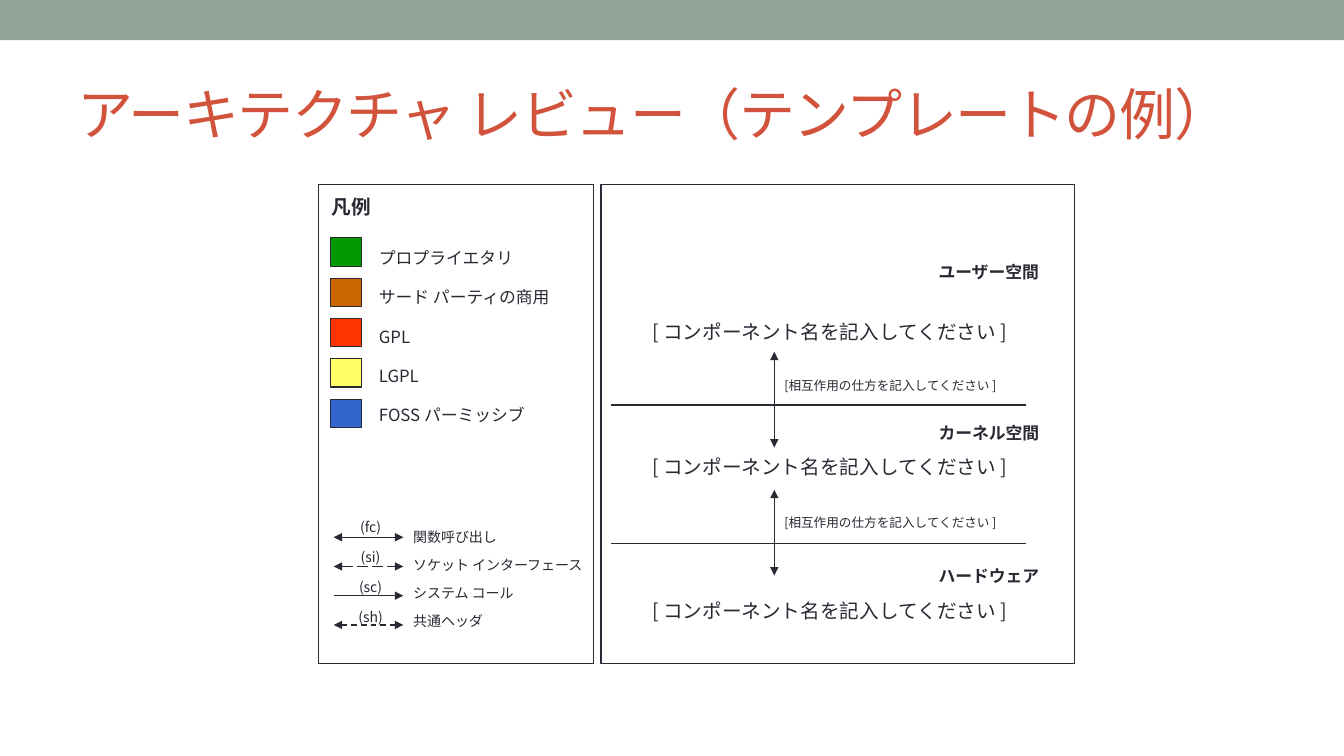
from typing import NamedTuple, Optional

from lxml.etree import SubElement
from pptx import Presentation
from pptx.dml.color import RGBColor
from pptx.enum.dml import MSO_LINE_DASH_STYLE as Dash
from pptx.enum.shapes import MSO_CONNECTOR as Connector, MSO_SHAPE as Shape
from pptx.enum.text import MSO_ANCHOR as Anchor, MSO_AUTO_SIZE as AutoSize, PP_ALIGN as Align
from pptx.oxml.ns import qn
from pptx.util import Inches, Pt

FONT = "Noto Sans CJK JP"
INK = "292934"
COMPONENT = "[ コンポーネント名を記入してください ]"
INTERACTION = "[相互作用の仕方を記入してください ]"


class License(NamedTuple):
    name: str
    color: str
    width: float


class Call(NamedTuple):
    tag: str
    name: str
    width: float
    dash: Optional[Dash] = None
    two_way: bool = True


class Layer(NamedTuple):
    name: str
    name_top: float
    component_top: float


class Boundary(NamedTuple):
    line_y: float
    arrow_top: float
    arrow_bottom: float
    label_top: float


LICENSES = [
    License("プロプライエタリ", "009900", 1.55),
    License("サード パーティの商用", "CC6600", 1.97),
    License("GPL", "FF3300", 0.52),
    License("LGPL", "FFFF66", 0.61),
    License("FOSS パーミッシブ", "3366CC", 1.71),
]
CALLS = [
    Call("(fc)", "関数呼び出し", 1.04),
    Call("(si)", "ソケット インターフェース", 1.96, Dash.LONG_DASH),
    Call("(sc)", "システム コール", 1.25, two_way=False),
    Call("(sh)", "共通ヘッダ", 0.9, Dash.DASH),
]
LAYERS = [
    Layer("ユーザー空間", 2.55, 3.12),
    Layer("カーネル空間", 4.14, 4.46),
    Layer("ハードウェア", 5.56, 5.89),
]
BOUNDARIES = [
    Boundary(4.02, 3.49, 4.44, 3.7),
    Boundary(5.39, 4.86, 5.71, 5.06),
]

presentation = Presentation()
presentation.slide_width = Inches(13.33)
presentation.slide_height = Inches(7.5)
slide = presentation.slides.add_slide(presentation.slide_layouts[6])


def rgb(color: str) -> RGBColor:
    return RGBColor.from_string(color)


def add_rectangle(left: float, top: float, width: float, height: float,
                  fill: Optional[str] = None, line_width: float = 0) -> None:
    shape = slide.shapes.add_shape(
        Shape.RECTANGLE, Inches(left), Inches(top), Inches(width), Inches(height))
    shape.shadow.inherit = False
    if fill:
        shape.fill.solid()
        shape.fill.fore_color.rgb = rgb(fill)
    else:
        shape.fill.background()
    if line_width:
        shape.line.color.rgb = rgb(INK)
        shape.line.width = Pt(line_width)
    else:
        shape.line.fill.background()


def add_text(text: str, left: float, top: float, width: float, height: float, size: float,
             bold: bool = False, color: str = INK, wrap: bool = False, grow: bool = True,
             anchor: Anchor = Anchor.TOP, align: Align = Align.LEFT, spacing: int = 0) -> None:
    box = slide.shapes.add_textbox(Inches(left), Inches(top), Inches(width), Inches(height))
    frame = box.text_frame
    frame.word_wrap = wrap
    frame.auto_size = AutoSize.SHAPE_TO_FIT_TEXT if grow else AutoSize.NONE
    frame.vertical_anchor = anchor
    paragraph = frame.paragraphs[0]
    paragraph.text = text
    paragraph.alignment = align
    font = paragraph.font
    font.size = Pt(size)
    font.bold = bold
    font.color.rgb = rgb(color)
    font.name = FONT
    properties = paragraph._p.get_or_add_pPr().find(qn("a:defRPr"))
    SubElement(properties, qn("a:ea")).set("typeface", FONT)
    if spacing:
        properties.set("spc", str(spacing))


def add_line(left: float, top: float, right: float, bottom: float, width: float = 1,
             head: bool = False, tail: bool = False, dash: Optional[Dash] = None) -> None:
    connector = slide.shapes.add_connector(
        Connector.STRAIGHT, Inches(left), Inches(top), Inches(right), Inches(bottom))
    connector.line.color.rgb = rgb(INK)
    connector.line.width = Pt(width)
    if dash:
        connector.line.dash_style = dash
    outline = connector.line._get_or_add_ln()
    for end, shown in (("a:headEnd", head), ("a:tailEnd", tail)):
        if shown:
            SubElement(outline, qn(end)).set("type", "triangle")
    SubElement(connector._element.spPr, qn("a:effectLst"))


def draw_legend() -> None:
    add_rectangle(3.16, 1.83, 2.73, 4.75, line_width=1)
    add_text("凡例", 3.19, 1.88, 0.59, 0.34, 14, bold=True)
    for row, entry in enumerate(LICENSES):
        add_rectangle(3.28, 2.36 + 0.4 * row, 0.31, 0.28, entry.color, 0.75)
        add_text(entry.name, 3.66, 2.41 + 0.39 * row, entry.width, 0.3, 12)
    for row, call in enumerate(CALLS):
        line_y = 5.33 + 0.29 * row
        add_line(3.31, line_y, 4, line_y, head=call.two_way, tail=True, dash=call.dash)
        add_text(call.name, 4, 5.19 + 0.28 * row, call.width, 0.27, 10)
        add_text(call.tag, 3.45, 5.09 + 0.3 * row, 0.45, 0.27, 10, align=Align.CENTER)


def draw_architecture() -> None:
    add_rectangle(5.96, 1.83, 4.7, 4.75, line_width=1)
    for layer in LAYERS:
        add_text(layer.name, 9.21, layer.name_top, 1.21, 0.3, 12, bold=True)
        add_text(COMPONENT, 6.37, layer.component_top, 3.93, 0.34, 14)
    for boundary in BOUNDARIES:
        add_line(6.06, boundary.line_y, 10.18, boundary.line_y)
        add_line(7.68, boundary.arrow_top, 7.68, boundary.arrow_bottom, 0.75, True, True)
        add_text(INTERACTION, 7.68, boundary.label_top, 2.49, 0.25, 9, wrap=True)


def main() -> None:
    add_rectangle(0, 0, 13.33, 0.4, "93A299")
    add_text("アーキテクチャ レビュー（テンプレートの例）", 0.67, 0.58, 12, 1.08, 40, color="D2533C",
             wrap=True, grow=False, anchor=Anchor.MIDDLE, spacing=-100)
    draw_legend()
    draw_architecture()
    presentation.save("out.pptx")


if __name__ == "__main__":
    main()
